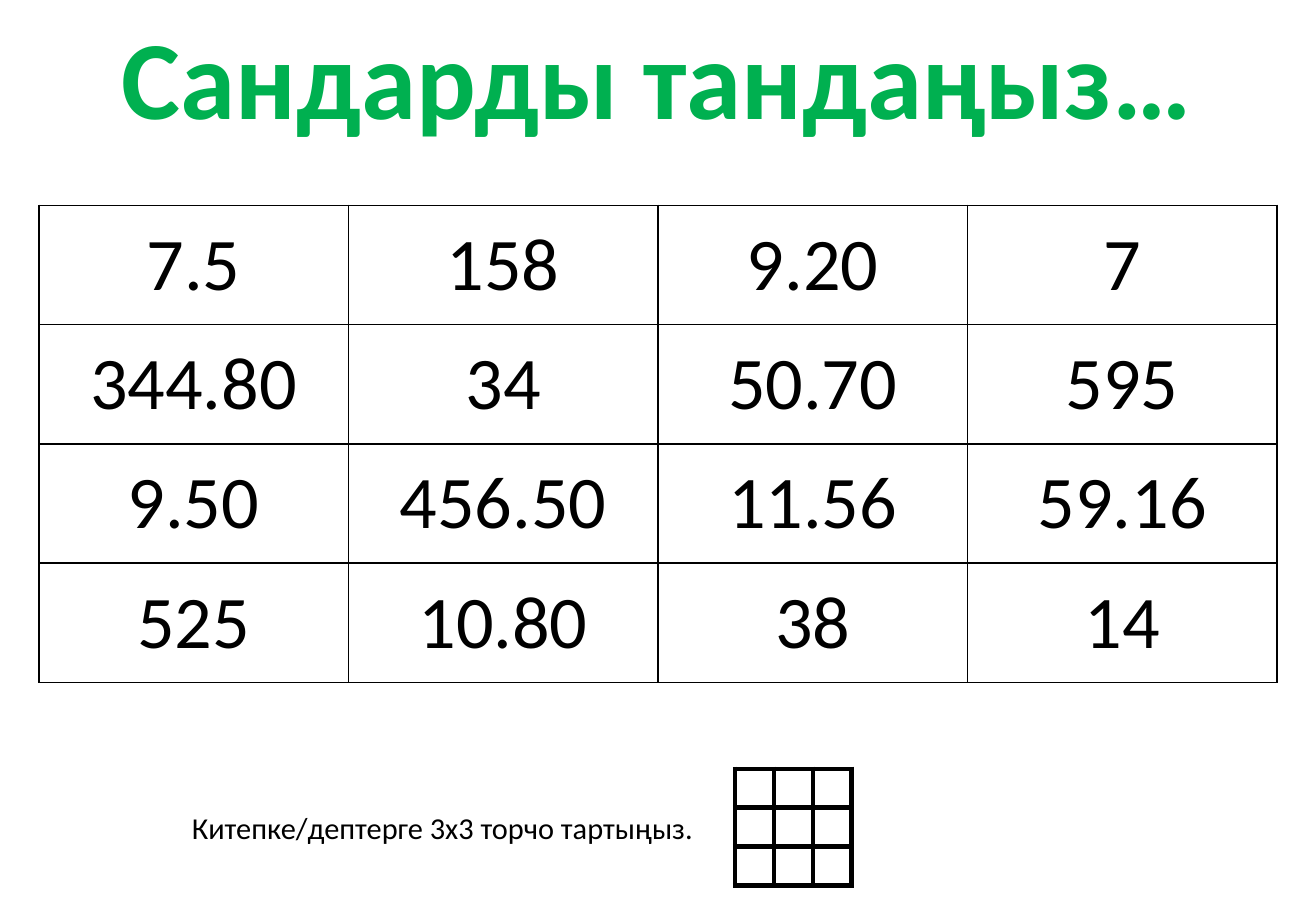
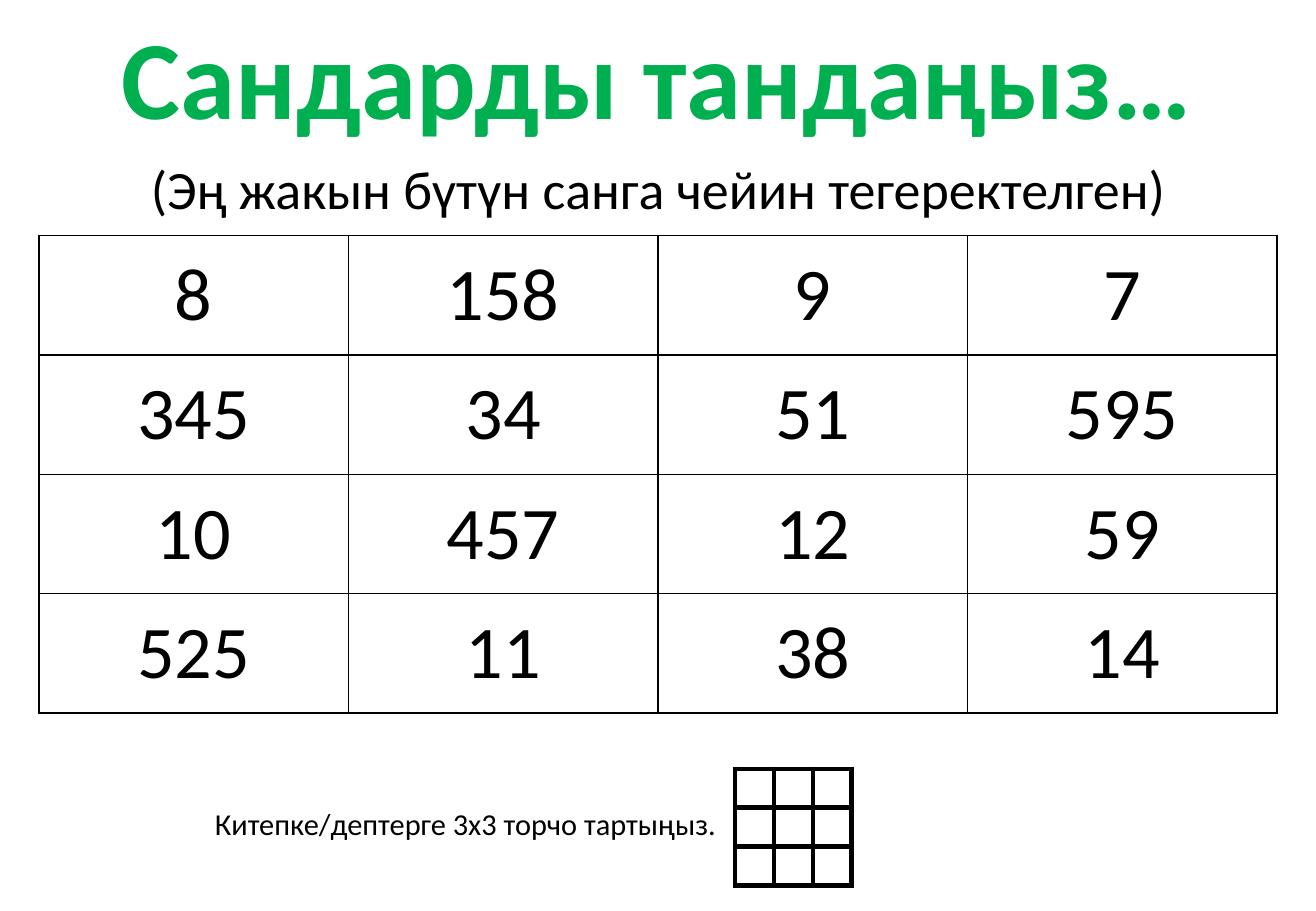
from lxml.etree import SubElement as Sub
from pptx import Presentation
from pptx.dml.color import RGBColor
from pptx.enum.text import MSO_ANCHOR as Anchor, MSO_AUTO_SIZE as Auto, PP_ALIGN as Align
from pptx.oxml.ns import qn
from pptx.util import Inches, Pt

GREEN = RGBColor(0x00, 0xB0, 0x50)
BLACK = RGBColor(0x00, 0x00, 0x00)
WHITE = RGBColor(0xFF, 0xFF, 0xFF)
FONT = "Calibri"
TITLE = "Сандарды тандаңыз…"
HINT = "Китепке/дептерге 3х3 торчо тартыңыз."

deck = Presentation()
deck.slide_width, deck.slide_height = Inches(10.83), Inches(7.5)
COL, ROW = deck.slide_width / 100, deck.slide_height / 100


def write(slide, text, left, top, width, height, size, color=BLACK, bold=False, align=Align.CENTER):
    box = slide.shapes.add_textbox(int(left * COL), int(top * ROW), int(width * COL), int(height * ROW))
    frame = box.text_frame
    frame.word_wrap = False
    frame.auto_size = Auto.SHAPE_TO_FIT_TEXT
    frame.text = text
    para = frame.paragraphs[0]
    para.alignment = align
    font = para.runs[0].font
    font.name, font.size, font.bold = FONT, Pt(size), bold
    font.color.rgb = color


def grid(slide, rows, left, top, width, height, line):
    frame = slide.shapes.add_table(len(rows), len(rows[0]), int(left * COL), int(top * ROW),
                                   int(width * COL), int(height * ROW))
    table = frame.table
    table.first_row = table.horz_banding = False
    for r, row in enumerate(rows):
        for c, text in enumerate(row):
            cell = table.cell(r, c)
            cell.margin_left = cell.margin_right = cell.margin_top = cell.margin_bottom = 0
            cell.vertical_anchor = Anchor.MIDDLE
            props = cell._tc.get_or_add_tcPr()
            for side in ("a:lnL", "a:lnR", "a:lnT", "a:lnB"):
                edge = Sub(props, qn(side), w=str(Pt(line)))
                Sub(Sub(edge, qn("a:solidFill")), qn("a:srgbClr"), val=str(BLACK))
            cell.fill.solid()
            cell.fill.fore_color.rgb = WHITE
            cell.text_frame.text = text
            para = cell.text_frame.paragraphs[0]
            para.alignment = Align.CENTER
            for run in para.runs:
                run.font.name, run.font.size = FONT, Pt(44)
                run.font.color.rgb = BLACK


pages = [
    (22.53, 13.67, 88.13, "", [
        ["7.5", "158", "9.20", "7"],
        ["344.80", "34", "50.70", "595"],
        ["9.50", "456.50", "11.56", "59.16"],
        ["525", "10.80", "38", "14"],
    ]),
    (25.87, 15.42, 87.73, "(Эң жакын бүтүн санга чейин тегеректелген)", [
        ["8", "158", "9", "7"],
        ["345", "34", "51", "595"],
        ["10", "457", "12", "59"],
        ["525", "11", "38", "14"],
    ]),
]

for top, hint_x, hint_y, note, rows in pages:
    slide = deck.slides.add_slide(deck.slide_layouts[6])
    grid(slide, rows, 2.95, top, 94.1, 52.4, 1)
    write(slide, TITLE, 7.29, 0.27, 85.32, 16.13, 66, GREEN, True)
    grid(slide, [[""] * 3] * 3, 55.86, 84.4, 8.86, 12.8, 3)
    write(slide, HINT, hint_x, hint_y, 40.44, 5.33, 18, align=Align.LEFT)
    if note:
        write(slide, note, 10.16, 16.4, 79.78, 8.53, 32)

deck.save("out.pptx")
